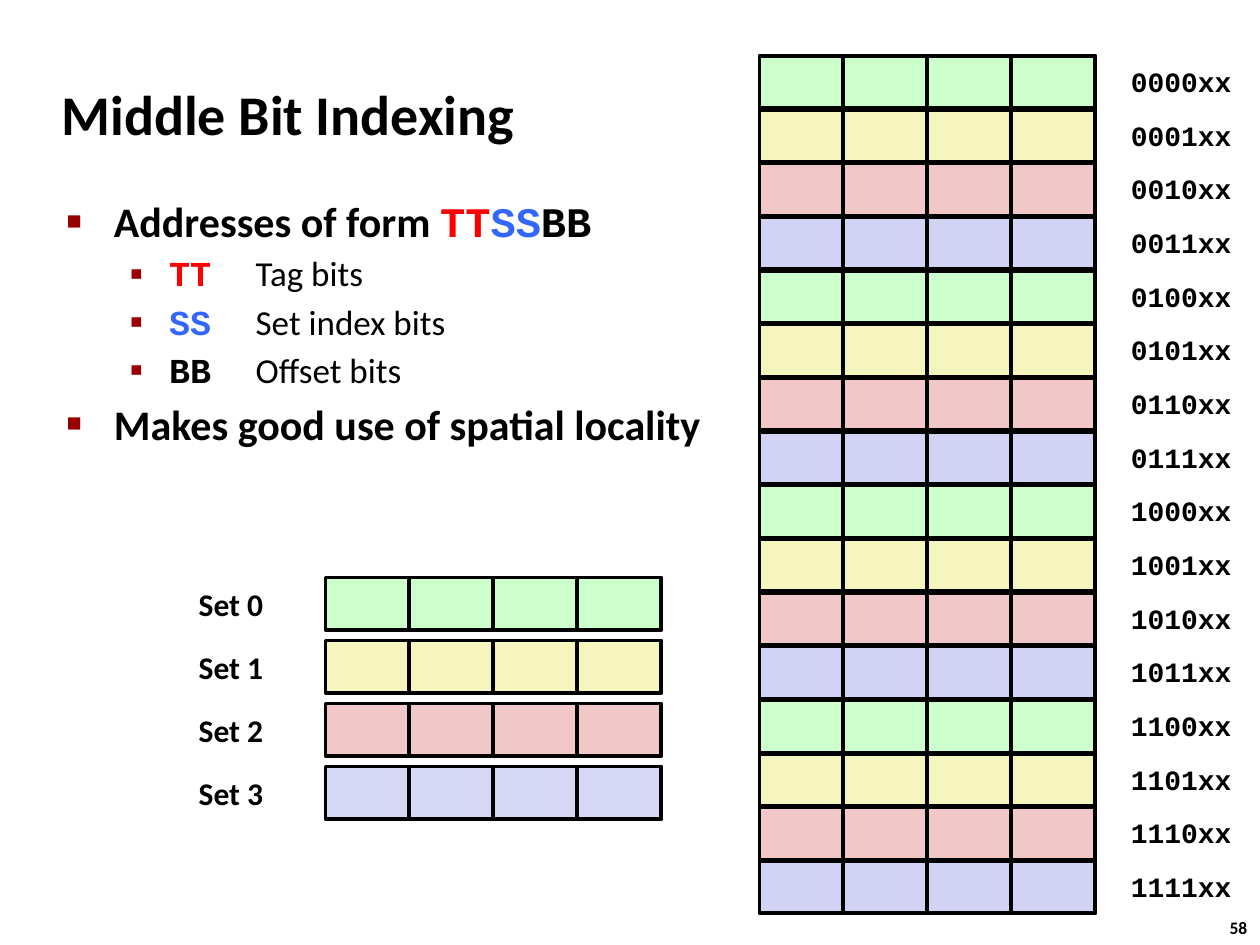
from lxml import etree
from pptx import Presentation
from pptx.dml.color import RGBColor
from pptx.enum.shapes import MSO_SHAPE
from pptx.enum.text import MSO_ANCHOR, MSO_AUTO_SIZE, PP_ALIGN
from pptx.oxml.ns import qn
from pptx.util import Pt

RECTANGLE = MSO_SHAPE.RECTANGLE
TOP, MIDDLE = MSO_ANCHOR.TOP, MSO_ANCHOR.MIDDLE
LEFT, CENTER, JUSTIFY = PP_ALIGN.LEFT, PP_ALIGN.CENTER, PP_ALIGN.JUSTIFY
FIT_SHAPE = MSO_AUTO_SIZE.SHAPE_TO_FIT_TEXT

BLACK = RGBColor(0x00, 0x00, 0x00)
RED = RGBColor(0xFF, 0x00, 0x00)
BLUE = RGBColor(0x33, 0x66, 0xFF)
GREEN_FILL = RGBColor(0xCC, 0xFF, 0xCC)
YELLOW_FILL = RGBColor(0xF6, 0xF5, 0xBD)
PINK_FILL = RGBColor(0xF1, 0xC7, 0xC7)
SET_LAVENDER = RGBColor(0xD6, 0xD6, 0xF5)
MEMORY_LAVENDER = RGBColor(0xD2, 0xD2, 0xF4)
BULLET_COLOR = "990000"

SANS = "Calibri"
MONO = "Courier New"
CELL_WIDTH, CELL_HEIGHT = 48, 30

presentation = Presentation()
presentation.slide_width, presentation.slide_height = Pt(720), Pt(540)
slide = presentation.slides.add_slide(presentation.slide_layouts[6])


def add_text(text, left=0, top=0, width=0, height=0, paragraph=None, size=18,
             font=SANS, color=BLACK, bold=True, align=LEFT, anchor=MIDDLE, wrap=True):
    if paragraph is None:
        box = slide.shapes.add_textbox(Pt(left), Pt(top), Pt(width), Pt(height))
        frame = box.text_frame
        frame.word_wrap = wrap
        frame.vertical_anchor = anchor
        paragraph = frame.paragraphs[0]
        paragraph.alignment = align
    run = paragraph.add_run()
    run.text = text
    run.font.size = Pt(size)
    run.font.name = font
    run.font.bold = bold
    run.font.color.rgb = color
    return paragraph


def add_cell_row(left, top, color):
    group = slide.shapes.add_group_shape()
    for column in range(4):
        cell = group.shapes.add_shape(RECTANGLE, Pt(left + column * CELL_WIDTH), Pt(top),
                                      Pt(CELL_WIDTH), Pt(CELL_HEIGHT))
        cell.shadow.inherit = False
        cell.fill.solid()
        cell.fill.fore_color.rgb = color
        cell.line.color.rgb = BLACK
        cell.line.width = Pt(2.25)


number_box = slide.shapes.add_textbox(Pt(695.5), Pt(520.5), Pt(26.5), Pt(19.5))
number_box.text_frame.word_wrap = False
number_box.text_frame.auto_size = FIT_SHAPE
add_text("58", paragraph=number_box.text_frame.paragraphs[0], size=10)

add_text("Middle Bit Indexing", 28, 34.5, 392, 60, size=32)

body_box = slide.shapes.add_textbox(Pt(31), Pt(108), Pt(461), Pt(85))
body = body_box.text_frame
body.word_wrap = True
body.vertical_anchor = TOP

body_lines = [
    (0, LEFT, [("Addresses of form ", SANS, BLACK, True), ("TT", MONO, RED, True),
               ("SS", MONO, BLUE, True), ("BB", MONO, BLACK, True)]),
    (1, LEFT, [("TT", MONO, RED, True), ("\tTag bits", SANS, BLACK, False)]),
    (1, LEFT, [("SS", MONO, BLUE, True), ("\tSet index bits", SANS, BLACK, False)]),
    (1, LEFT, [("BB", MONO, BLACK, True), ("\tOffset bits", SANS, BLACK, False)]),
    (0, JUSTIFY, [("Makes good use of spatial locality", SANS, BLACK, True)]),
]
level_formats = [
    {"size": 24, "margin": 27, "hanging": 27, "before": 4.3, "bullet": "■", "scale": 60},
    {"size": 20, "margin": 58.5, "hanging": 22.5, "before": 3.6, "bullet": "▪", "scale": 110},
]
for index, (level, align, runs) in enumerate(body_lines):
    style = level_formats[level]
    paragraph = body.add_paragraph() if index else body.paragraphs[0]
    paragraph.level = level
    paragraph.alignment = align
    paragraph.space_before = Pt(style["before"] if index else 0)
    properties = paragraph._p.get_or_add_pPr()
    properties.set("marL", str(Pt(style["margin"])))
    properties.set("indent", str(-Pt(style["hanging"])))
    bullet_color = etree.SubElement(properties, qn("a:buClr"))
    etree.SubElement(bullet_color, qn("a:srgbClr"), val=BULLET_COLOR)
    etree.SubElement(properties, qn("a:buSzPct"), val=str(style["scale"] * 1000))
    etree.SubElement(properties, qn("a:buFont"), typeface="Arial")
    etree.SubElement(properties, qn("a:buChar"), char=style["bullet"])
    for text, font, color, bold in runs:
        add_text(text, paragraph=paragraph, size=style["size"], font=font, color=color, bold=bold)

set_colors = [GREEN_FILL, YELLOW_FILL, PINK_FILL, SET_LAVENDER]
for index, color in enumerate(set_colors):
    top = 330 + index * 36
    add_cell_row(186, top, color)
    add_text(f"Set {index}", 96, top, 72, CELL_HEIGHT, align=CENTER)

memory_colors = [GREEN_FILL, YELLOW_FILL, PINK_FILL, MEMORY_LAVENDER]
for address in range(16):
    top = 32 + address * 30.67
    add_cell_row(434, top, memory_colors[address % 4])
    add_text(f"{address:04b}xx", 636, top - 0.5, 78, CELL_HEIGHT,
             size=16, font=MONO, align=CENTER)

presentation.save("out.pptx")
